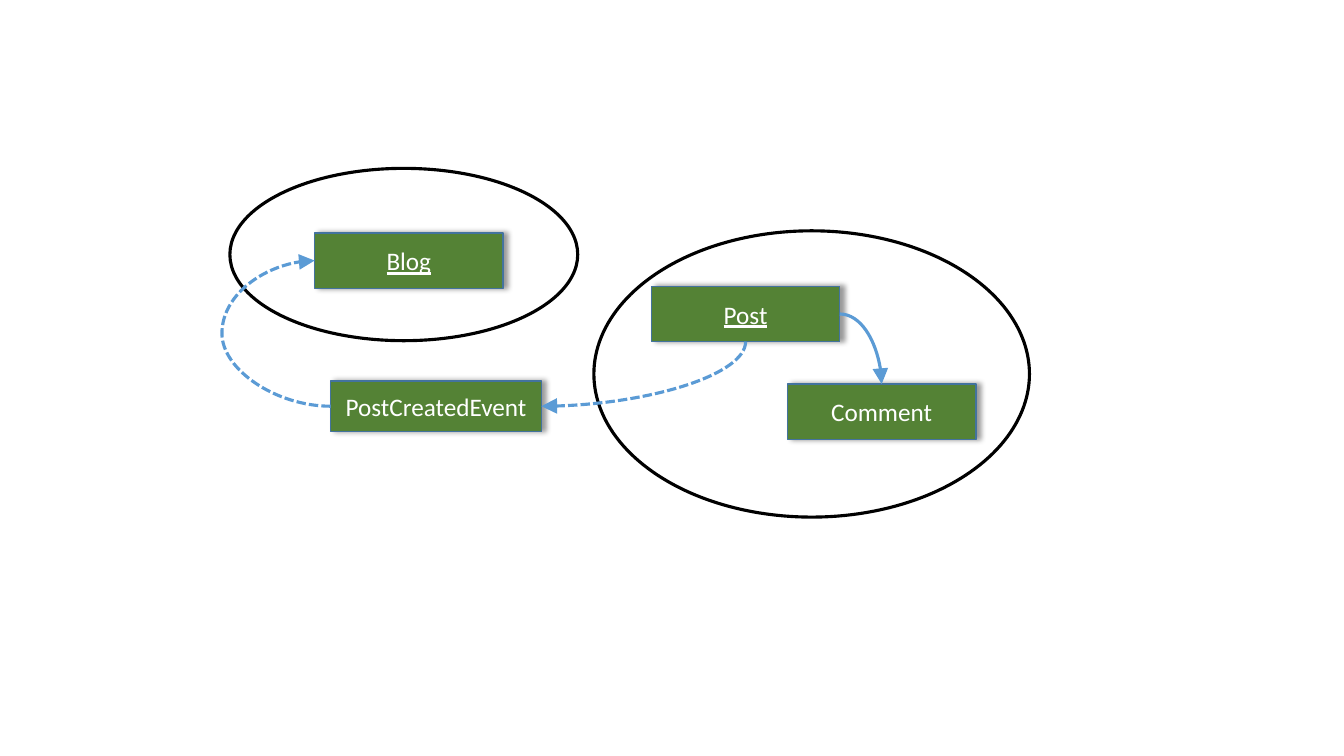
from lxml.etree import SubElement
from pptx import Presentation
from pptx.dml.color import RGBColor
from pptx.enum.dml import MSO_LINE
from pptx.enum.shapes import MSO_CONNECTOR, MSO_SHAPE
from pptx.enum.text import MSO_ANCHOR, PP_ALIGN
from pptx.oxml.ns import qn
from pptx.util import Inches, Pt

COLORS = {"white": "FFFFFF", "black": "000000", "green": "548235",
          "border": "43739E", "arrow": "5B9BD5"}
TOP, LEFT, BOTTOM, RIGHT = range(4)


def rgb(name):
    return RGBColor.from_string(COLORS[name])


def add_filled(slide, kind, box, fill, line, width):
    sp = slide.shapes.add_shape(kind, *map(Inches, box))
    sp.shadow.inherit = False
    sp.fill.solid()
    sp.fill.fore_color.rgb = rgb(fill)
    sp.line.color.rgb = rgb(line)
    sp.line.width = Pt(width)
    return sp


def add_shadow(sp):
    effects = sp._element.spPr.find(qn("a:effectLst"))
    shadow = SubElement(effects, qn("a:outerShdw"), blurRad=str(Pt(4)),
                        dist=str(Pt(3)), dir="0", algn="l", rotWithShape="0")
    color = SubElement(shadow, qn("a:srgbClr"), val=COLORS["black"])
    SubElement(color, qn("a:alpha"), val="40000")


def add_aggregate(slide, box):
    return add_filled(slide, MSO_SHAPE.OVAL, box, "white", "black", 2.25)


def add_entity(slide, box, text, underline=False):
    sp = add_filled(slide, MSO_SHAPE.RECTANGLE, box, "green", "border", 1)
    add_shadow(sp)
    tf = sp.text_frame
    tf.word_wrap = True
    tf.vertical_anchor = MSO_ANCHOR.MIDDLE
    p = tf.paragraphs[0]
    p.text = text
    p.alignment = PP_ALIGN.CENTER
    p.font.name = "Calibri"
    p.font.size = Pt(18)
    p.font.color.rgb = rgb("white")
    if underline:
        p.font.underline = True
    return sp


def add_arrow(slide, source, start, target, end, preset, rotation=0,
              bend=None, dashed=False):
    cxn = slide.shapes.add_connector(MSO_CONNECTOR.CURVE, 0, 0, 0, 0)
    cxn.begin_connect(source, start)
    cxn.end_connect(target, end)
    center_x = (cxn.begin_x + cxn.end_x) // 2
    center_y = (cxn.begin_y + cxn.end_y) // 2
    width, height = cxn.width, cxn.height
    if rotation == 90:
        width, height = height, width
    cxn.left, cxn.top = center_x - width // 2, center_y - height // 2
    cxn.width, cxn.height = width, height

    spPr = cxn._element.spPr
    xfrm = spPr.find(qn("a:xfrm"))
    for flip in ("flipH", "flipV"):
        xfrm.attrib.pop(flip, None)
    xfrm.set("rot", str(rotation * 60000))
    geom = spPr.find(qn("a:prstGeom"))
    geom.set("prst", preset)
    if bend is not None:
        SubElement(geom.find(qn("a:avLst")), qn("a:gd"), name="adj1",
                   fmla=f"val {round(bend / width * 100000)}")

    cxn.line.color.rgb = rgb("arrow")
    cxn.line.width = Pt(2.25)
    if dashed:
        cxn.line.dash_style = MSO_LINE.SQUARE_DOT
    SubElement(spPr.find(qn("a:ln")), qn("a:tailEnd"), type="triangle",
               w="lg", len="lg")
    SubElement(spPr, qn("a:effectLst"))


def add_domain_model(slide, left, top):
    def place(x, y, width, height):
        return left + x, top + y, width, height

    entity_size = 1.87, 0.55
    add_aggregate(slide, place(3.61, 0.62, 4.32, 2.84))
    add_aggregate(slide, place(0, 0, 3.45, 1.71))
    blog = add_entity(slide, place(0.84, 0.64, *entity_size), "Blog", True)
    post = add_entity(slide, place(4.18, 1.17, *entity_size), "Post", True)
    comment = add_entity(slide, place(5.53, 2.14, *entity_size), "Comment")
    event = add_entity(slide, place(1, 2.11, 2.09, 0.5), "PostCreatedEvent")

    add_arrow(slide, post, BOTTOM, event, RIGHT, "curvedConnector2",
              rotation=90, dashed=True)
    add_arrow(slide, event, LEFT, blog, LEFT, "curvedConnector3",
              rotation=180, bend=Inches(1.08), dashed=True)
    add_arrow(slide, post, RIGHT, comment, TOP, "curvedConnector2")


prs = Presentation()
prs.slide_width = Inches(13.33)
prs.slide_height = Inches(7.5)
slide = prs.slides.add_slide(prs.slide_layouts[6])
add_domain_model(slide, 2.28, 1.67)
prs.save("out.pptx")
